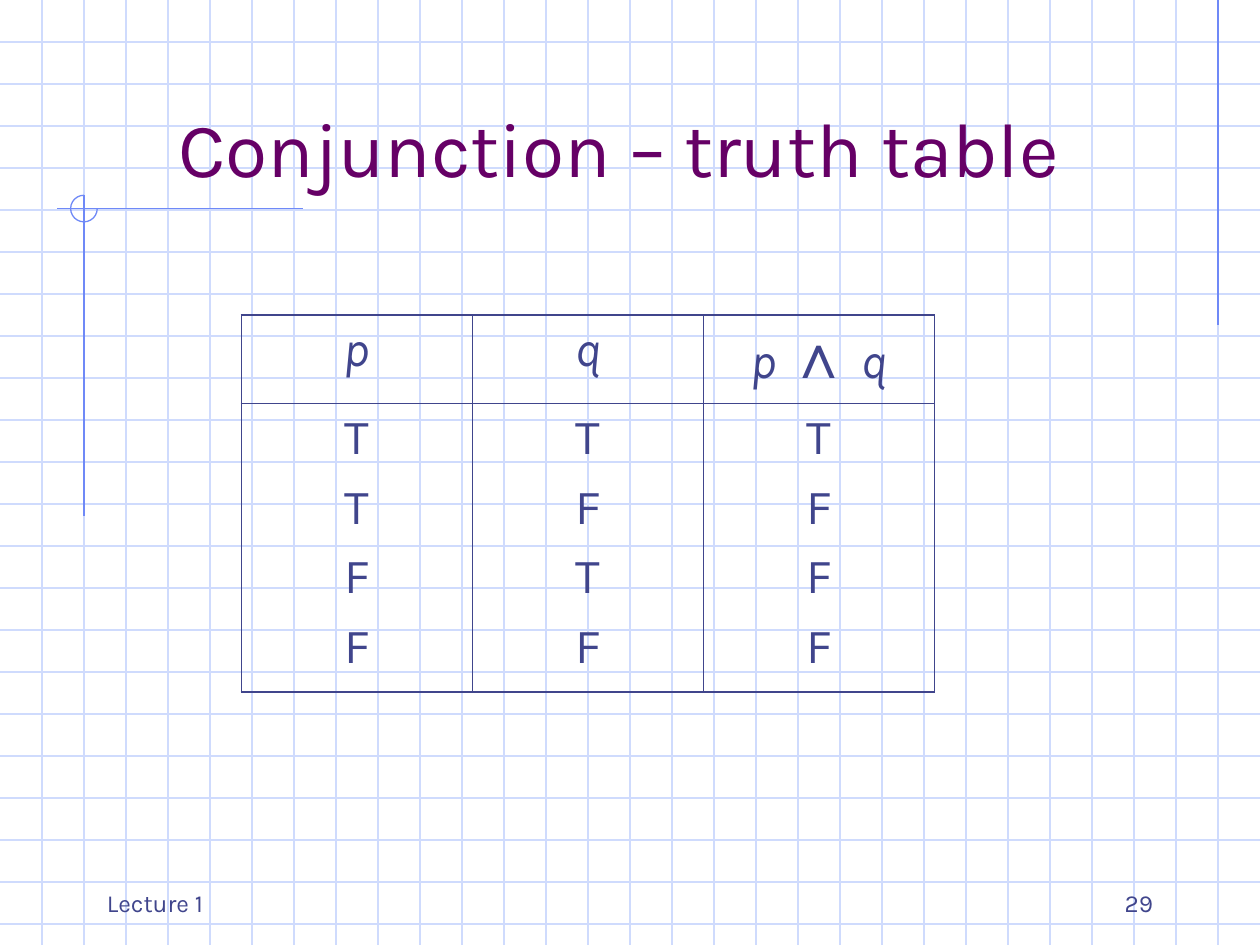
from dataclasses import dataclass

from lxml.etree import SubElement
from pptx import Presentation
from pptx.dml.color import RGBColor as RGB
from pptx.enum.shapes import MSO_CONNECTOR as Connector, MSO_SHAPE as Shape
from pptx.enum.text import MSO_ANCHOR as Anchor, MSO_AUTO_SIZE as AutoSize, PP_ALIGN as Align
from pptx.oxml import parse_xml
from pptx.oxml.ns import nsdecls, qn
from pptx.util import Pt


@dataclass(frozen=True)
class Theme:
    font: str = "Karla"
    symbol_font: str = "Arial"
    grid: str = "CFDBFD"
    accent: str = "6F89F7"
    title: str = "660066"
    text: str = "40458C"
    title_size: float = 44
    cell_size: float = 28
    symbol_size: float = 36
    footer_size: float = 14
    line: float = 0.75
    outer_border: float = 1.08
    inner_border: float = 0.45


THEME = Theme()
WIDTH, HEIGHT = 720, 540
GRID_STEP = 24
AND = "∧"
HEADERS = (("p",), ("q",), ("p ", AND, " q"))
COLUMNS = ("TTFF", "TFTF", "TFFF")


def add_span(para, text, size, color, font=THEME.font, italic=False):
    span = para.add_run()
    span.text = text
    span.font.color.rgb = RGB.from_string(color)
    for name, value in dict(size=Pt(size), name=font, italic=italic).items():
        setattr(span.font, name, value)


def format_frame(frame, anchor):
    values = dict(word_wrap=True, auto_size=AutoSize.NONE, vertical_anchor=anchor,
                  margin_left=Pt(7.2), margin_right=Pt(7.2),
                  margin_top=Pt(3.6), margin_bottom=Pt(3.6))
    for name, value in values.items():
        setattr(frame, name, value)


def add_line(page, x1, y1, x2, y2, color):
    line = page.shapes.add_connector(Connector.STRAIGHT, Pt(x1), Pt(y1), Pt(x2), Pt(y2))
    line.line.color.rgb = RGB.from_string(color)
    line.line.width = Pt(THEME.line)
    SubElement(line.element.spPr, qn("a:effectLst"))


def add_grid(page, width, height):
    for y in range(GRID_STEP, height, GRID_STEP):
        add_line(page, 0, y, width, y, THEME.grid)
    for x in range(GRID_STEP, width, GRID_STEP):
        add_line(page, x, 0, x, height, THEME.grid)


def add_corner_mark(page, x, y):
    """Crossing lines with a three-quarter circle centred on (x, y)."""
    radius = 7.6
    add_line(page, x + 125, y, x - 15.5, y, THEME.accent)
    add_line(page, x, y - radius, x, y + 175.5, THEME.accent)
    arc = page.shapes.add_shape(Shape.ARC, Pt(x - radius), Pt(y - radius),
                                Pt(2 * radius), Pt(2 * radius))
    arc.adjustments[0] = 0
    arc.adjustments[1] = 162  # 270 degrees, in units of 100000/60000 degree
    arc.shadow.inherit = False
    arc.fill.background()
    arc.line.color.rgb = RGB.from_string(THEME.accent)
    arc.line.width = Pt(THEME.line)


def add_title(page, text, left, top, width, height):
    title = page.shapes.title
    title.element.getparent().append(title.element)  # in front of the grid
    for name, value in dict(left=left, top=top, width=width, height=height).items():
        setattr(title, name, Pt(value))
    format_frame(title.text_frame, Anchor.BOTTOM)
    para = title.text_frame.paragraphs[0]
    para.alignment = Align.CENTER
    add_span(para, text, THEME.title_size, THEME.title)


def set_borders(cell, widths):
    properties = cell._tc.get_or_add_tcPr()
    for index, (side, width) in enumerate(widths.items()):
        properties.insert(index, parse_xml(
            f'<a:ln{side} {nsdecls("a")} w="{Pt(width)}"><a:solidFill>'
            f'<a:srgbClr val="{THEME.text}"/></a:solidFill></a:ln{side}>'))


def fill_header(cell, parts):
    para = cell.text_frame.paragraphs[0]
    para.alignment = Align.CENTER
    for part in parts:
        if part == AND:
            add_span(para, part, THEME.symbol_size, THEME.text, THEME.symbol_font)
        else:
            add_span(para, part, THEME.cell_size, THEME.text, italic=True)


def fill_values(cell, values):
    frame = cell.text_frame
    for index, value in enumerate(values):
        para = frame.add_paragraph() if index else frame.paragraphs[0]
        para.alignment = Align.CENTER
        para.space_before = Pt(7 if index else 0)
        add_span(para, value, THEME.cell_size, THEME.text)


def add_truth_table(page, left, top, width, row_heights):
    count = len(HEADERS)
    table = page.shapes.add_table(2, count, Pt(left), Pt(top), Pt(width),
                                  Pt(sum(row_heights))).table
    table.first_row = table.horz_banding = False
    for row, height in zip(table.rows, row_heights):
        row.height = Pt(height)
    outer, inner = THEME.outer_border, THEME.inner_border
    for index, (header, values) in enumerate(zip(HEADERS, COLUMNS)):
        table.columns[index].width = Pt(width / count)
        fill_header(table.cell(0, index), header)
        fill_values(table.cell(1, index), values)
        for row in range(2):
            cell = table.cell(row, index)
            cell.fill.background()
            set_borders(cell, {"L": outer if index == 0 else inner,
                               "R": outer if index == count - 1 else inner,
                               "T": outer if row == 0 else inner,
                               "B": outer if row == 1 else inner})


def add_footer(page, text, left, top, width, height, alignment):
    box = page.shapes.add_textbox(Pt(left), Pt(top), Pt(width), Pt(height))
    format_frame(box.text_frame, Anchor.BOTTOM)
    para = box.text_frame.paragraphs[0]
    para.alignment = alignment
    add_span(para, text, THEME.footer_size, THEME.text)


def main():
    deck = Presentation()
    deck.slide_width, deck.slide_height = Pt(WIDTH), Pt(HEIGHT)
    page = deck.slides.add_slide(deck.slide_layouts[5])
    add_grid(page, WIDTH, HEIGHT)
    add_line(page, 696, 0, 696, 186, THEME.accent)
    add_corner_mark(page, 48, 119.2)
    add_title(page, "Conjunction – truth table", 48, 24, 612, 90)
    add_truth_table(page, 138, 180, 396, (50.4, 165))
    add_footer(page, "29", 516, 492, 150, 36, Align.RIGHT)
    add_footer(page, "Lecture 1", 54, 492, 150, 36, Align.LEFT)
    deck.save("out.pptx")


if __name__ == "__main__":
    main()
